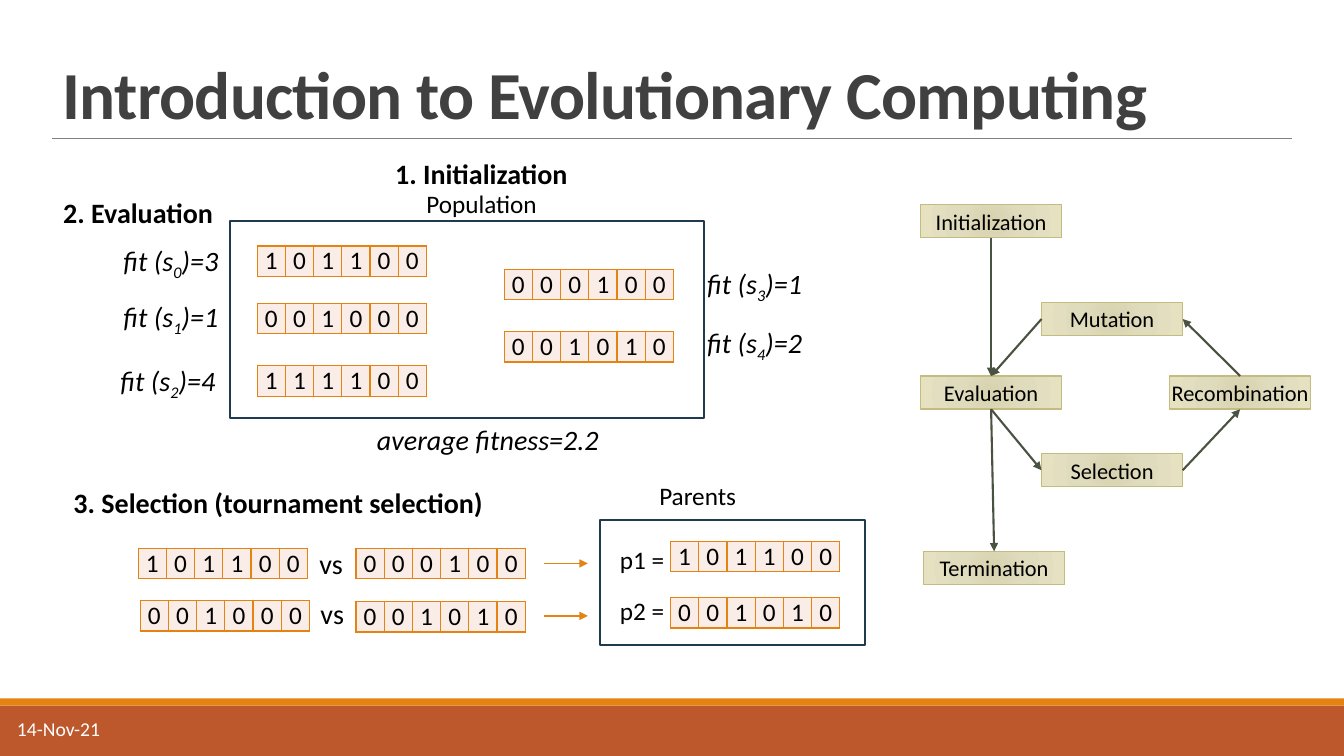
from dataclasses import dataclass
from lxml import etree
from pptx import Presentation
from pptx.dml.color import RGBColor
from pptx.enum.shapes import MSO_CONNECTOR, MSO_SHAPE
from pptx.enum.text import MSO_ANCHOR, MSO_AUTO_SIZE, PP_ALIGN
from pptx.oxml import parse_xml
from pptx.oxml.ns import nsdecls, qn
from pptx.util import Inches, Pt


@dataclass(frozen=True)
class Theme:
    """Colours, font and type sizes of the slide."""
    font: str = "Calibri"
    title: str = "404040"
    text: str = "000000"
    white: str = "FFFFFF"
    footer: str = "BD582C"
    accent: str = "E48312"
    rule: str = "808080"
    gene: str = "FAEDE7"
    frame: str = "203A4E"
    arrow: str = "4A5242"
    step_line: str = "C2BC80"
    step_stops: tuple = ((0, "D7D3AF"), (45, "DFDBBD"), (100, "E5E1C1"))
    title_size: int = 48
    heading_size: int = 20
    body_size: int = 18
    step_size: int = 16
    date_size: int = 14


THEME = Theme()
TITLE = "Introduction to Evolutionary Computing"
DATE = "14-Nov-21"
HEADINGS = [
    ("1. Initialization", 3.81, 1.5, 1.93),
    ("2. Evaluation", 0.52, 1.89, 1.7),
    ("3. Selection (tournament selection)", 0.61, 4.77, 4.3),
]
FITNESS = [
    ("0", "3", 1.11, 2.37),
    ("1", "1", 1.11, 2.92),
    ("2", "4", 1.08, 3.56),
    ("3", "1", 6.9, 2.59),
    ("4", "2", 6.9, 3.18),
]
AVERAGE = ("average fitness=2.2", 3.63, 4.14, 2.42)
VERSUS = [("vs", 3.06, 5.37, 0.45), ("vs", 3.07, 5.87, 0.45)]
CAPTIONS = [
    ("Population", 4.13, 1.82, 1.31),
    ("Parents", 6.44, 4.72, 0.99),
    ("p1 =", 6.05, 5.35, 0.65),
    ("p2 =", 6.05, 5.86, 0.65),
]
FRAMES = [(2.28, 2.19, 4.7, 1.96), (5.95, 5.16, 2.63, 1.24)]
GENOMES = [
    ("101100", 2.55, 2.44),
    ("001000", 2.55, 3.01),
    ("111100", 2.55, 3.63),
    ("000100", 5, 2.67),
    ("001010", 5, 3.29),
    ("101100", 1.37, 5.44),
    ("000100", 3.53, 5.44),
    ("101100", 6.65, 5.37),
    ("001000", 1.39, 5.96),
    ("001010", 3.53, 5.97),
    ("001010", 6.65, 5.93),
]
GENE_WIDTH, GENE_HEIGHT = 0.28, 0.3
WINNER_ROWS = [5.59, 6.11]
STEPS = {
    "Initialization": (9.13, 2.03),
    "Mutation": (10.33, 3),
    "Evaluation": (9.13, 3.73),
    "Recombination": (11.6, 3.73),
    "Selection": (10.33, 4.5),
    "Termination": (9.16, 5.47),
}
TOP, LEFT, BOTTOM, RIGHT = range(4)
FLOW = [
    ("Initialization", BOTTOM, "Evaluation", TOP),
    ("Evaluation", BOTTOM, "Termination", TOP),
    ("Mutation", LEFT, "Evaluation", TOP),
    ("Recombination", TOP, "Mutation", RIGHT),
    ("Evaluation", BOTTOM, "Selection", LEFT),
    ("Selection", RIGHT, "Recombination", BOTTOM),
]


def write(para, text, size, color=THEME.text, bold=False, italic=False, lowered=False):
    span = para.add_run()
    span.text = text
    font = span.font
    font.name, font.size, font.bold, font.italic = THEME.font, Pt(size), bold, italic
    font.color.rgb = RGBColor.from_string(color)
    if lowered:
        span._r.get_or_add_rPr().set("baseline", "-25000")
    return span


def add_label(slide, parts, left, top, width, size, height=0.44, align=PP_ALIGN.CENTER, **style):
    box = slide.shapes.add_textbox(Inches(left), Inches(top), Inches(width), Inches(height))
    box.text_frame.word_wrap = False
    para = box.text_frame.paragraphs[0]
    para.alignment = align
    for index, part in enumerate(parts):
        write(para, part, size, lowered=index % 2 == 1, **style)


def add_box(slide, left, top, width, height, fill=None, line=None, weight=1.0):
    shape = slide.shapes.add_shape(
        MSO_SHAPE.RECTANGLE, Inches(left), Inches(top), Inches(width), Inches(height))
    shape.shadow.inherit = False
    if fill:
        shape.fill.solid()
        shape.fill.fore_color.rgb = RGBColor.from_string(fill)
    else:
        shape.fill.background()
    if line:
        shape.line.color.rgb = RGBColor.from_string(line)
        shape.line.width = Pt(weight)
    else:
        shape.line.fill.background()
    return shape


def add_line(slide, start, end, color, weight, arrow=True):
    line = slide.shapes.add_connector(
        MSO_CONNECTOR.STRAIGHT, *(Inches(value) for value in (*start, *end)))
    line.line.color.rgb = RGBColor.from_string(color)
    line.line.width = Pt(weight)
    if arrow:
        etree.SubElement(line.line._get_or_add_ln(), qn("a:tailEnd"), type="triangle")
    etree.SubElement(line._element.spPr, qn("a:effectLst"))
    return line


def add_genome(slide, bits, left, top):
    table = slide.shapes.add_table(
        1, len(bits), Inches(left), Inches(top),
        Inches(GENE_WIDTH * len(bits)), Inches(GENE_HEIGHT)).table
    table.first_row = table.horz_banding = False
    for column, bit in enumerate(bits):
        cell = table.cell(0, column)
        cell.margin_left = cell.margin_right = cell.margin_top = cell.margin_bottom = 0
        for side in ("lnL", "lnR", "lnT", "lnB"):
            cell._tc.get_or_add_tcPr().append(parse_xml(
                f'<a:{side} {nsdecls("a")} w="12700"><a:solidFill>'
                f'<a:srgbClr val="{THEME.accent}"/></a:solidFill></a:{side}>'))
        cell.fill.solid()
        cell.fill.fore_color.rgb = RGBColor.from_string(THEME.gene)
        para = cell.text_frame.paragraphs[0]
        para.alignment = PP_ALIGN.CENTER
        write(para, bit, THEME.body_size)


def add_step(slide, name, left, top):
    step = add_box(slide, left, top, 1.4, 0.33, line=THEME.step_line)
    stops = "".join(f'<a:gs pos="{place * 1000}"><a:srgbClr val="{color}"/></a:gs>'
                    for place, color in THEME.step_stops)
    properties = step._element.spPr
    flat = properties.find(qn("a:noFill"))
    properties.replace(flat, parse_xml(
        f'<a:gradFill {nsdecls("a")} rotWithShape="1"><a:gsLst>{stops}</a:gsLst>'
        '<a:path path="circle"><a:fillToRect l="100000" t="100000" r="100000" b="100000"/>'
        '</a:path></a:gradFill>'))
    frame = step.text_frame
    frame.margin_left = frame.margin_right = frame.margin_top = frame.margin_bottom = 0
    frame.vertical_anchor = MSO_ANCHOR.MIDDLE
    frame.paragraphs[0].alignment = PP_ALIGN.CENTER
    write(frame.paragraphs[0], name, THEME.step_size)
    return step


def add_title(slide):
    title = slide.shapes.title
    title.left, title.top, title.width, title.height = map(Inches, (0.52, 0.31, 12.29, 1.06))
    frame = title.text_frame
    frame.auto_size = MSO_AUTO_SIZE.NONE
    frame.vertical_anchor = MSO_ANCHOR.BOTTOM
    para = frame.paragraphs[0]
    para.alignment, para.line_spacing = PP_ALIGN.LEFT, 0.85
    span = write(para, TITLE, THEME.title_size, THEME.title, bold=True)
    span._r.get_or_add_rPr().set("spc", "-50")


def main():
    """Build the evolutionary computing slide."""
    deck = Presentation()
    deck.slide_width, deck.slide_height = Inches(13.33), Inches(7.5)
    page = deck.slides.add_slide(deck.slide_layouts[5])
    add_box(page, 0, 7, 13.33, 0.5, THEME.footer)
    add_box(page, 0, 6.93, 13.33, 0.07, THEME.accent)
    add_line(page, (0.52, 1.37), (12.81, 1.37), THEME.rule, 0.5, arrow=False)
    add_title(page)
    add_label(page, [DATE], 0.07, 7.06, 2.7, THEME.date_size, 0.4, PP_ALIGN.LEFT, color=THEME.white)
    for frame in FRAMES:
        add_box(page, *frame, line=THEME.frame, weight=1.25)
    for genome in GENOMES:
        add_genome(page, *genome)
    for text, *place in HEADINGS:
        add_label(page, [text], *place, THEME.heading_size, bold=True)
    for member, score, left, top in FITNESS:
        add_label(page, ["fit (s", member, f")={score}"], left, top, 1.17,
                  THEME.heading_size, italic=True)
    add_label(page, [AVERAGE[0]], *AVERAGE[1:], THEME.heading_size, italic=True)
    for text, *place in VERSUS:
        add_label(page, [text], *place, THEME.heading_size)
    for text, *place in CAPTIONS:
        add_label(page, [text], *place, THEME.body_size, 0.4, PP_ALIGN.LEFT)
    for row in WINNER_ROWS:
        add_line(page, (5.4, row), (5.83, row), THEME.accent, 1)
    steps = {name: add_step(page, name, *place) for name, place in STEPS.items()}
    for source, leaving, target, entering in FLOW:
        arrow = add_line(page, STEPS[source], STEPS[target], THEME.arrow, 1.5)
        arrow.begin_connect(steps[source], leaving)
        arrow.end_connect(steps[target], entering)
    deck.save("out.pptx")


if __name__ == "__main__":
    main()
